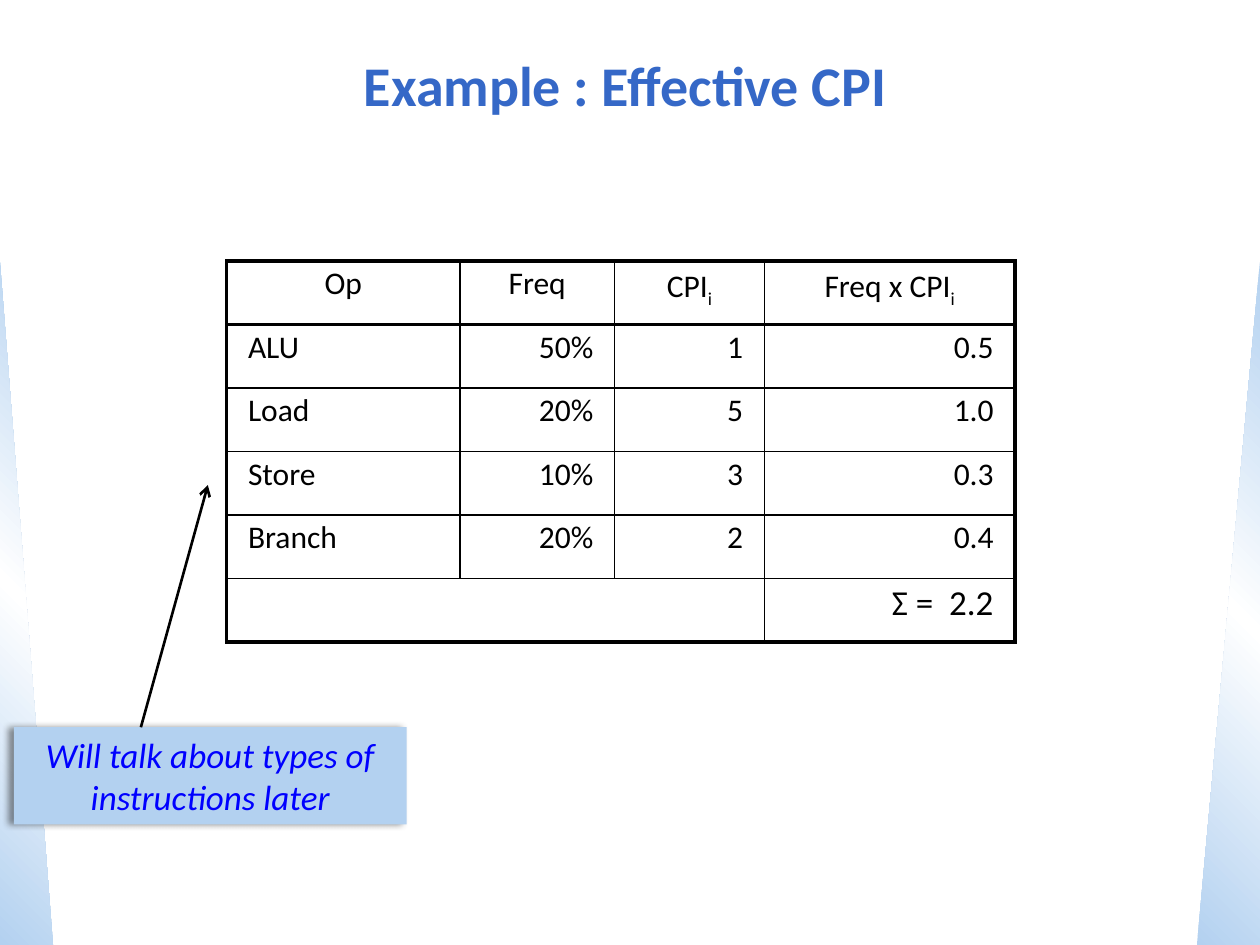
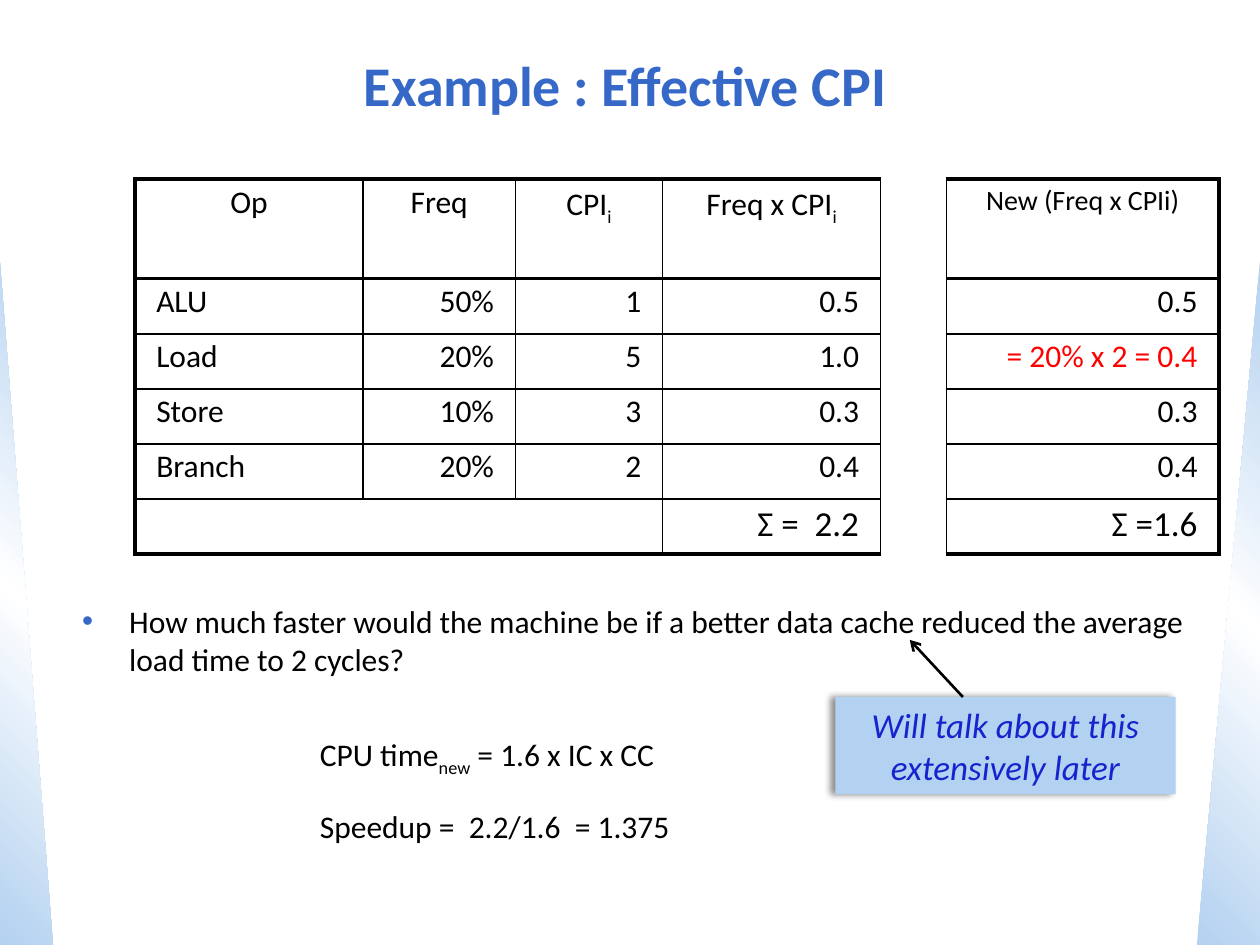
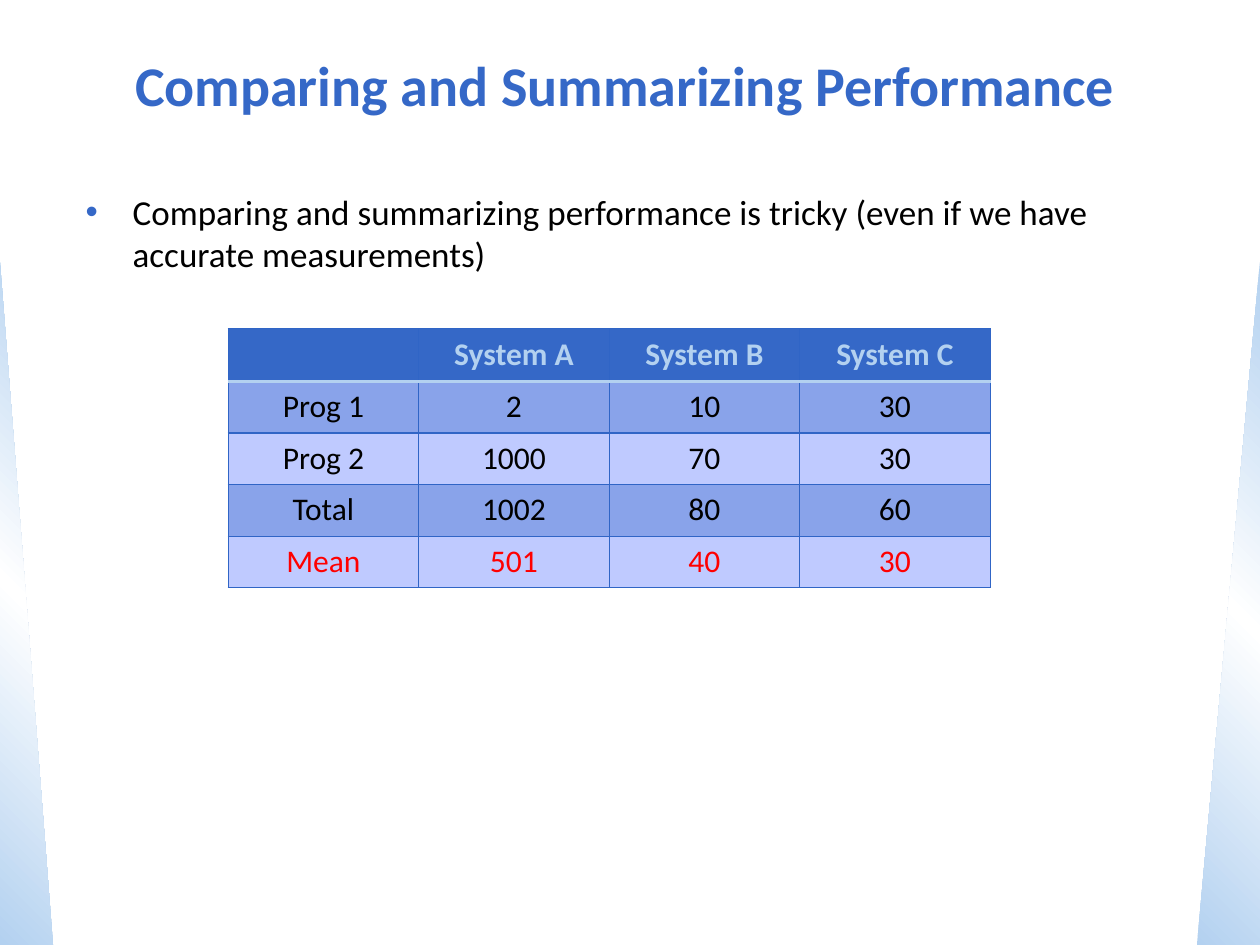
from copy import deepcopy

from pptx import Presentation
from pptx import util as u
from pptx.dml.color import RGBColor
from pptx.enum import shapes, text
from pptx.oxml import parse_xml
from pptx.oxml.ns import nsdecls, qn

FONT = "Calibri"
BLUE, PALE, BLACK, WHITE, RED = "3568C7", "B3D1F0", "000000", "FFFFFF", "FF0000"
GRID_BLUE, BAND_DARK, BAND_LIGHT = "3065C6", "89A3EA", "BFCAFF"
LEFT, CENTER, RIGHT = text.PP_ALIGN.LEFT, text.PP_ALIGN.CENTER, text.PP_ALIGN.RIGHT
THIN, THICK = 1, 2.25
TITLE_ONLY, TITLE_AND_BODY = 5, 1

OPS = [
    ("Op", "Freq", "CPI|i", "Freq x CPI|i"),
    ("ALU", "50%", "1", "0.5"),
    ("Load", "20%", "5", "1.0"),
    ("Store", "10%", "3", "0.3"),
    ("Branch", "20%", "2", "0.4"),
    ("", "", "", "Σ =  2.2"),
]
NEW_CPI = [("New (Freq x CPIi)",), ("0.5",), ("= 20% x 2 = 0.4",), ("0.3",), ("0.4",), ("Σ =1.6",)]
SYSTEMS = [
    ("", "System A", "System B", "System C"),
    ("Prog 1", "2", "10", "30"),
    ("Prog 2", "1000", "70", "30"),
    ("Total", "1002", "80", "60"),
    ("Mean", "501", "40", "30"),
]


def rgb(hex_color):
    return RGBColor.from_string(hex_color)


def cm(*lengths):
    return [u.Cm(length) for length in lengths]


def apply(target, **values):
    for name, value in values.items():
        setattr(target, name, value)


def place(shape, box):
    apply(shape, **dict(zip(("left", "top", "width", "height"), cm(*box))))


def write(paragraph, words, size, color=BLACK, align=LEFT, spacing=None, **font):
    """Fill a paragraph; every second part between bars is a subscript."""
    apply(paragraph, alignment=align, line_spacing=spacing)
    for index, part in enumerate(words.split("|")):
        run = paragraph.add_run()
        run.text = part
        apply(run.font, name=FONT, size=u.Pt(size), **font)
        run.font.color.rgb = rgb(color)
        if index % 2:
            run.font._element.set("baseline", "-25000")


def add_side_bands(prs, slide):
    """Build the two gradient wedges and hand them to the slide master."""
    wedges = [((0, 5.28, 1.07, 13.77), 45, False), ((24.13, 5.28, 1.27, 13.77), 315, True)]
    for position, (box, angle, mirrored) in enumerate(wedges, start=2):
        wedge = slide.shapes.add_shape(shapes.MSO_SHAPE.RIGHT_TRIANGLE, *cm(*box))
        wedge.shadow.inherit = False
        wedge.line.fill.background()
        wedge.fill.gradient()
        wedge.fill.gradient_angle = angle
        stops = wedge.element.spPr.find(".//" + qn("a:gsLst"))
        stops.insert(1, deepcopy(stops[0]))
        for stop, color, at in zip(wedge.fill.gradient_stops, (PALE, WHITE, PALE), (0, 0.5, 1)):
            stop.color.rgb = rgb(color)
            stop.position = at
        if mirrored:
            wedge.element.spPr.find(qn("a:xfrm")).set("flipH", "1")
        prs.slide_master.shapes.element.insert(position, wedge.element)


def add_slide(prs, layout, title):
    slide = prs.slides.add_slide(prs.slide_layouts[layout])
    heading = slide.shapes.title
    place(heading, (0.64, 0.64, 23.93, 2.11))
    apply(heading.text_frame, vertical_anchor=text.MSO_ANCHOR.MIDDLE,
          auto_size=text.MSO_AUTO_SIZE.NONE)
    write(heading.text_frame.paragraphs[0], title, 32, BLUE, CENTER, bold=True)
    return slide


def fill_body(slide, box, words, size):
    body = slide.placeholders[1]
    place(body, box)
    body.text_frame.auto_size = text.MSO_AUTO_SIZE.NONE
    paragraph = body.text_frame.paragraphs[0]
    properties = paragraph._p.get_or_add_pPr()
    properties.set("marL", str(u.Cm(0.95)))
    properties.set("indent", str(-u.Cm(0.95)))
    for bullet in (f'<a:buClr {nsdecls("a")}><a:srgbClr val="{BLUE}"/></a:buClr>',
                   f'<a:buFont {nsdecls("a")} typeface="Arial"/>',
                   f'<a:buChar {nsdecls("a")} char="•"/>'):
        properties.append(parse_xml(bullet))
    paragraph.space_before = u.Pt(0)
    write(paragraph, words, size)


def set_borders(cell, **edges):
    """Give the edges L, R, T and B as (colour, points)."""
    properties = cell._tc.get_or_add_tcPr()
    for side in "LRTB":
        color, points = edges[side]
        properties.append(parse_xml(
            f'<a:ln{side} {nsdecls("a")} w="{u.Pt(points)}"><a:solidFill>'
            f'<a:srgbClr val="{color}"/></a:solidFill></a:ln{side}>'))


def add_grid(slide, corner, widths, heights):
    size = (sum(widths), sum(heights))
    table = slide.shapes.add_table(len(heights), len(widths), *cm(*corner, *size)).table
    apply(table, first_row=False, horz_banding=False)
    for column, width in zip(table.columns, widths):
        column.width = u.Cm(width)
    for row, height in zip(table.rows, heights):
        row.height = u.Cm(height)
    return table


def add_cpi_table(slide, rows, corner, widths, heights, left=THICK, right=THICK,
                  header_size=18, red_row=None):
    table = add_grid(slide, corner, widths, heights)
    last_row, last_column = len(rows) - 1, len(widths) - 1
    for r, row in enumerate(rows):
        for c, words in enumerate(row):
            cell = table.cell(r, c)
            apply(cell, margin_left=u.Cm(0.43), margin_right=u.Cm(0.43))
            set_borders(cell,
                        L=(BLACK, THIN if c else left),
                        R=(BLACK, right if c == last_column else THIN),
                        T=(BLACK, THICK if r < 2 else THIN),
                        B=(BLACK, THICK if r in (0, last_row) else THIN))
            cell.fill.background()
            if not words:
                continue
            size = {0: header_size, last_row: 20}.get(r, 18)
            align = CENTER if r == 0 else LEFT if c < last_column and c == 0 else RIGHT
            write(cell.text_frame.paragraphs[0], words, size,
                  RED if r == red_row else BLACK, align, 0.9)
    if last_column:
        table.cell(last_row, 0).merge(table.cell(last_row, last_column - 1))


def add_systems_table(slide):
    table = add_grid(slide, (4.6, 6.63), [3.84] * 4, [1.06] + [1.04] * 4)
    line, header_line = (GRID_BLUE, 0.75), (PALE, 2)
    for r, row in enumerate(SYSTEMS):
        band = BLUE if r == 0 else BAND_DARK if r % 2 else BAND_LIGHT
        color = {0: PALE, len(SYSTEMS) - 1: RED}.get(r, BLACK)
        for c, words in enumerate(row):
            cell = table.cell(r, c)
            set_borders(cell, L=line, R=line, T=header_line if r == 1 else line,
                        B=line if r else header_line)
            cell.fill.solid()
            cell.fill.fore_color.rgb = rgb(band)
            if words:
                write(cell.text_frame.paragraphs[0], words, 18, color, CENTER, bold=r == 0)


def add_remark(slide, box, words, color, arrow):
    """Add a shadowed remark and the arrow (x1, y1, x2, y2) that leaves it."""
    remark = slide.shapes.add_shape(shapes.MSO_SHAPE.RECTANGLE, *cm(*box))
    remark.fill.solid()
    remark.fill.fore_color.rgb = rgb(PALE)
    remark.line.fill.background()
    remark.element.spPr.append(parse_xml(
        f'<a:effectLst {nsdecls("a")}><a:outerShdw blurRad="{u.Pt(4)}" dist="{u.Pt(3)}" '
        f'dir="10800000" rotWithShape="0"><a:srgbClr val="{BLACK}"><a:alpha val="43000"/>'
        '</a:srgbClr></a:outerShdw></a:effectLst>'))
    remark.text_frame.word_wrap = True
    write(remark.text_frame.paragraphs[0], words, 20, color, CENTER, italic=True)

    pointer = slide.shapes.add_connector(shapes.MSO_CONNECTOR.STRAIGHT, *cm(*arrow))
    pointer.line.width = u.Pt(1.5)
    pointer.line.color.rgb = rgb(BLACK)
    pointer.line._get_or_add_ln().append(parse_xml(f'<a:tailEnd {nsdecls("a")} type="arrow"/>'))
    pointer._element.spPr.append(parse_xml(f'<a:effectLst {nsdecls("a")}/>'))


def add_results(slide, box, lines):
    frame = slide.shapes.add_textbox(*cm(*box)).text_frame
    frame.word_wrap = False
    for index, words in enumerate(lines):
        paragraph = frame.add_paragraph() if index else frame.paragraphs[0]
        write(paragraph, words, 18, spacing=1.75)


def main():
    prs = Presentation()
    apply(prs, slide_width=u.Cm(25.4), slide_height=u.Cm(19.05))

    cpi = add_slide(prs, TITLE_ONLY, "Example : Effective CPI")
    add_side_bands(prs, cpi)
    add_cpi_table(cpi, OPS, (4.57, 5.26), (4.7, 3.12, 3.02, 5.05), [1.28] * 6)
    add_remark(cpi, (0.28, 14.66, 7.92, 1.96), "Will talk about types of instructions later",
               "0000FF", (2.84, 14.66, 4.19, 9.78))

    speedup = add_slide(prs, TITLE_AND_BODY, "Example : Effective CPI")
    heights = [2.01] + [1.11] * 5
    add_cpi_table(speedup, OPS, (2.72, 3.61), (4.6, 3.07, 2.97, 4.39), heights, right=THIN)
    fill_body(speedup, (1.4, 12.01, 22.86, 5.87),
              "How much faster would the machine be if a better data cache reduced "
              "the average load time to 2 cycles?", 18)
    add_results(speedup, (6.2, 14.05, 7.65, 2.84),
                ("CPU time|new| = 1.6 x IC x CC", "Speedup =  2.2/1.6  = 1.375"))
    add_cpi_table(speedup, NEW_CPI, (19.08, 3.61), (5.49,), heights, left=THIN,
                  header_size=16, red_row=2)
    add_remark(speedup, (16.84, 14.05, 6.86, 1.96), "Will talk about this extensively later",
               "1822CD", (19.41, 14.05, 18.34, 12.9))

    comparing = add_slide(prs, TITLE_AND_BODY, "Comparing and Summarizing Performance")
    fill_body(comparing, (1.47, 3.71, 22.86, 2.31),
              "Comparing and summarizing performance is tricky "
              "(even if we have accurate measurements)", 20)
    add_systems_table(comparing)

    prs.save("out.pptx")


if __name__ == "__main__":
    main()
